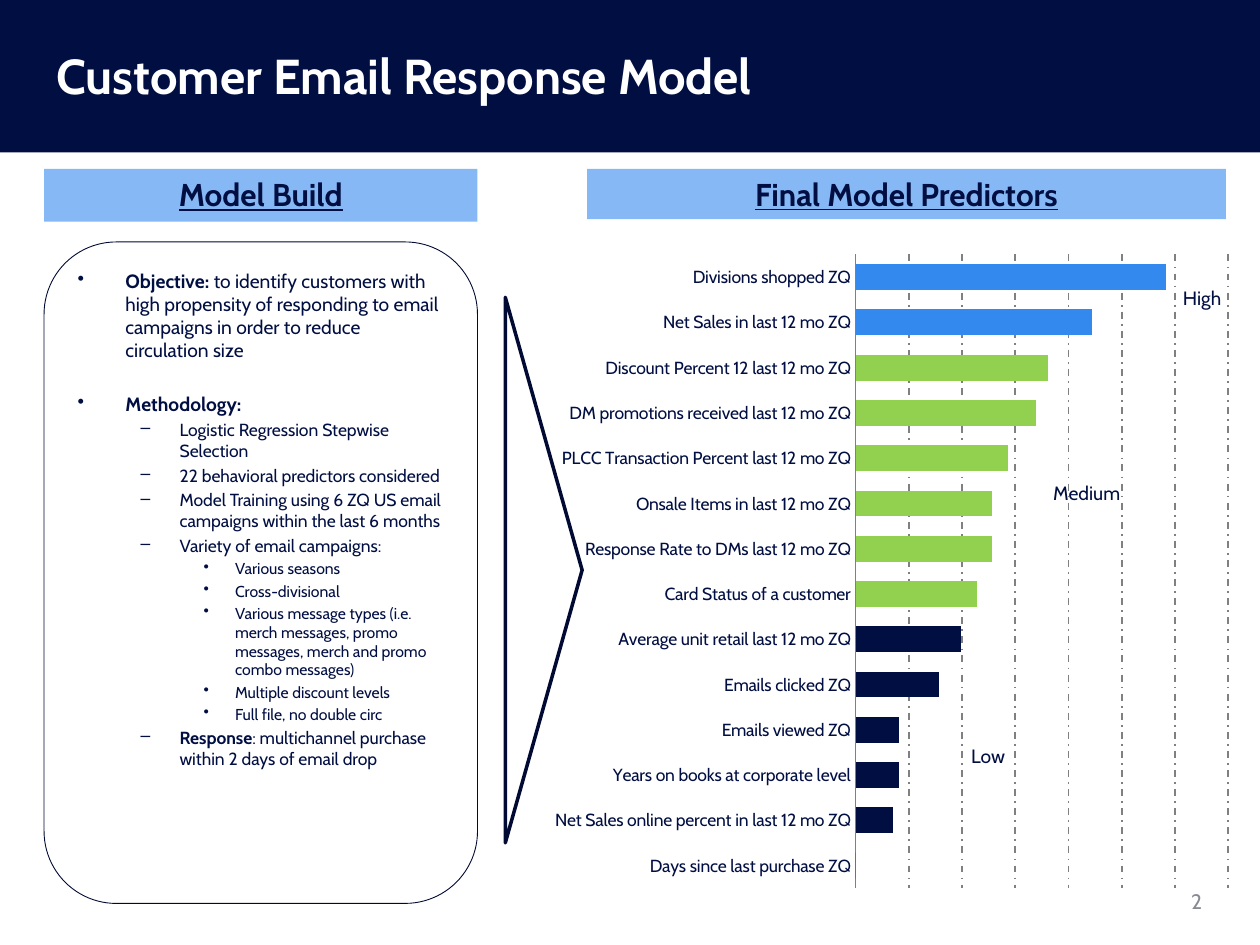
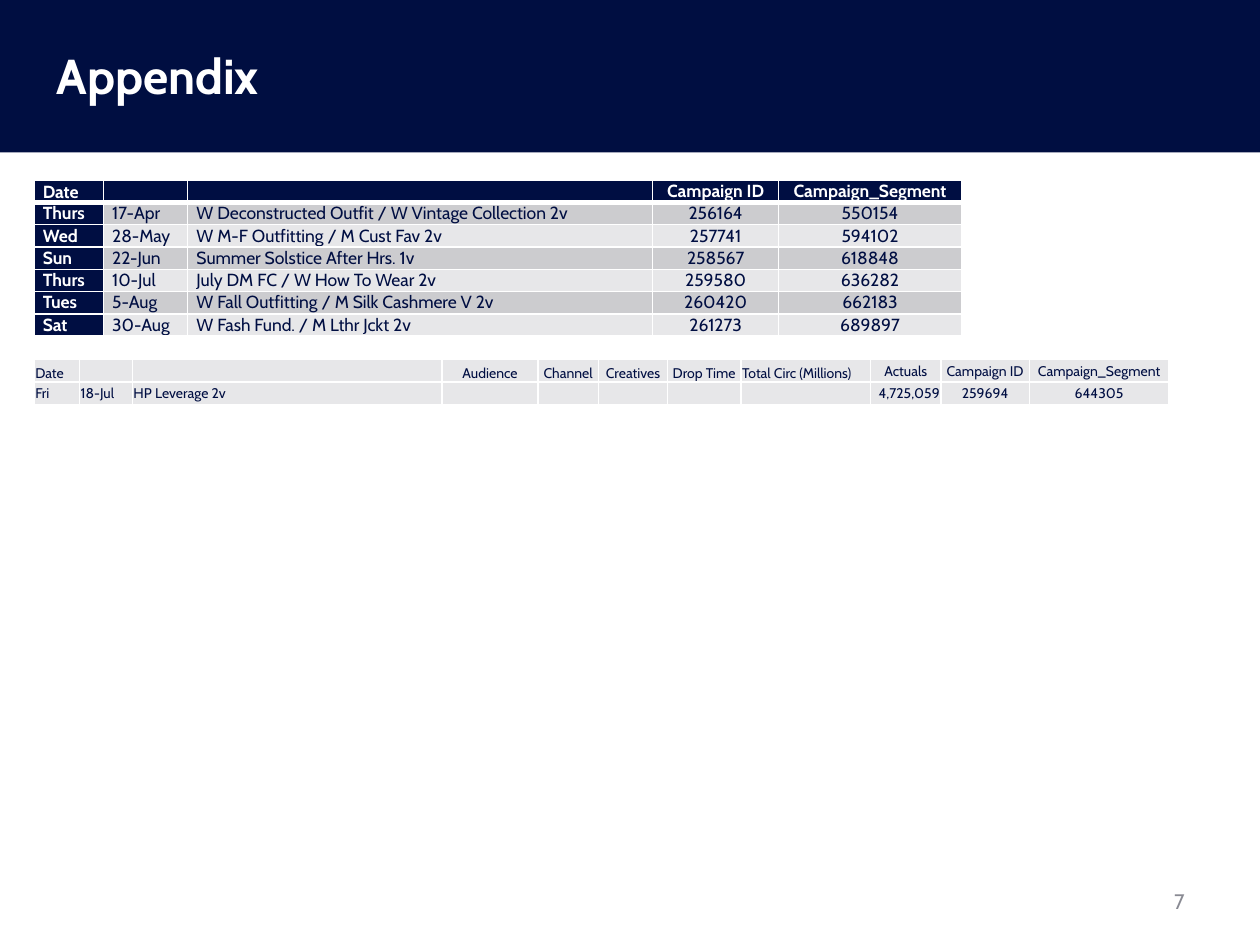
from dataclasses import dataclass
from typing import NamedTuple

import pptx
import pptx.chart.data
import pptx.dml.color
import pptx.enum.chart
import pptx.enum.dml
import pptx.enum.shapes
import pptx.enum.text
import pptx.oxml
import pptx.oxml.ns
import pptx.util
from lxml import etree

Inches = pptx.util.Inches
Pt = pptx.util.Pt
qn = pptx.oxml.ns.qn
Shape = pptx.enum.shapes.MSO_SHAPE
Align = pptx.enum.text.PP_ALIGN
Anchor = pptx.enum.text.MSO_ANCHOR


@dataclass(frozen=True)
class Theme:
    font: str = "Cabin"
    band: str = "000E41"
    ink: str = "000E42"
    outline: str = "000A32"
    heading: str = "85B8F4"
    high: str = "3389ED"
    medium: str = "92D050"
    grid: str = "808080"
    number: str = "898A93"
    white: str = "FFFFFF"
    row_dark: str = "CCCCCF"
    row_light: str = "E7E7E9"
    title_size: float = 28
    heading_size: float = 18
    number_size: float = 12
    body_size: float = 11
    small_size: float = 10
    detail_size: float = 9
    fine_size: float = 8


THEME = Theme()


class Box(NamedTuple):
    left: float
    top: float
    width: float
    height: float

    def lengths(self) -> list:
        return [Inches(value) for value in self]


class Level(NamedTuple):
    margin: float
    indent: float
    mark: str
    size: float


class Bullet(NamedTuple):
    level: int
    lead: str
    text: str
    gap: float = 0


class Predictor(NamedTuple):
    name: str
    score: int


class Note(NamedTuple):
    text: str
    box: Box


class Cell(NamedTuple):
    text: str
    fill: str = THEME.row_light
    color: str = THEME.ink
    bold: bool = False
    align: Align = Align.LEFT
    anchor: Anchor = Anchor.MIDDLE
    bottom_line: float = 1


LEVELS = [
    Level(0.38, -0.38, "•", THEME.body_size),
    Level(0.81, -0.31, "–", THEME.small_size),
    Level(1.25, -0.25, "•", THEME.detail_size),
]

MODEL_BUILD = [
    Bullet(0, "Objective: ", "to identify customers with high propensity of responding to email "
           "campaigns in order to reduce circulation size"),
    Bullet(0, "Methodology:", "", gap=15.4),
    Bullet(1, "", "Logistic Regression Stepwise Selection"),
    Bullet(1, "", "22 behavioral predictors considered"),
    Bullet(1, "", "Model Training using 6 ZQ US email campaigns within the last 6 months"),
    Bullet(1, "", "Variety of email campaigns:"),
    Bullet(2, "", "Various seasons"),
    Bullet(2, "", "Cross-divisional"),
    Bullet(2, "", "Various message types (i.e. merch messages, promo messages, "
           "merch and promo combo messages)"),
    Bullet(2, "", "Multiple discount levels"),
    Bullet(2, "", "Full file, no double circ"),
    Bullet(1, "Response", ": multichannel purchase within 2 days of email drop"),
]

PREDICTORS = [
    Predictor("Days since last purchase ZQ", 0),
    Predictor("Net Sales online percent in last 12 mo ZQ", 12),
    Predictor("Years on books at corporate level", 14),
    Predictor("Emails viewed ZQ", 14),
    Predictor("Emails clicked ZQ", 27),
    Predictor("Average unit retail last 12 mo ZQ", 34),
    Predictor("Card Status of a customer", 39),
    Predictor("Response Rate to DMs last 12 mo ZQ", 44),
    Predictor("Onsale Items in last 12 mo ZQ", 44),
    Predictor("PLCC Transaction Percent last 12 mo ZQ", 49),
    Predictor("DM promotions received last 12 mo ZQ", 58),
    Predictor("Discount Percent 12 last 12 mo ZQ", 62),
    Predictor("Net Sales in last 12 mo ZQ", 76),
    Predictor("Divisions shopped ZQ", 100),
]

IMPACT_NOTES = [
    Note("High", Box(9.29, 2.22, 0.56, 0.29)),
    Note("Medium", Box(8.26, 3.77, 0.83, 0.29)),
    Note("Low", Box(7.61, 5.86, 0.83, 0.29)),
]

CAMPAIGN_HEADER = ["Date", "", "", "Campaign ID", "Campaign_Segment"]
CAMPAIGNS = [
    ["Thurs", "17-Apr", "W Deconstructed Outfit / W Vintage Collection 2v", "256164", "550154"],
    ["Wed", "28-May", "W M-F Outfitting / M Cust Fav 2v", "257741", "594102"],
    ["Sun", "22-Jun", "Summer Solstice After Hrs. 1v", "258567", "618848"],
    ["Thurs", "10-Jul", "July DM FC / W How To Wear 2v", "259580", "636282"],
    ["Tues", "5-Aug", "W Fall Outfitting / M Silk Cashmere V 2v", "260420", "662183"],
    ["Sat", "30-Aug", "W Fash Fund. / M Lthr Jckt 2v", "261273", "689897"],
]
CAMPAIGN_WIDTHS = [0.55, 0.67, 3.69, 1, 1.45]

DROP_HEADER = ["Date", "", "", "Audience", "Channel", "Creatives", "Drop Time",
               "Total Circ (Millions)", "Actuals", "Campaign ID", "Campaign_Segment"]
DROP = ["Fri", "18-Jul", "HP Leverage 2v", "", "", "", "", "", "4,725,059", "259694", "644305"]
DROP_WIDTHS = [0.36, 0.42, 2.46, 0.76, 0.48, 0.55, 0.58, 1.03, 0.56, 0.7, 1.11]


def rgb(color: str) -> pptx.dml.color.RGBColor:
    return pptx.dml.color.RGBColor.from_string(color)


def write(para, text: str, *, size: float = THEME.body_size, color: str = THEME.ink,
          bold: bool = False, underline: bool = False, align: Align = Align.LEFT) -> None:
    """Append one formatted span to a paragraph."""
    para.alignment = align
    span = para.add_run()
    span.text = text
    span.font.name = THEME.font
    span.font.size = Pt(size)
    span.font.bold = bold
    span.font.underline = underline
    span.font.color.rgb = rgb(color)


def add_text(slide, box: Box, text: str, *, anchor: Anchor = Anchor.TOP, **style) -> None:
    frame = slide.shapes.add_textbox(*box.lengths()).text_frame
    frame.word_wrap = True
    frame.vertical_anchor = anchor
    write(frame.paragraphs[0], text, **style)


def add_block(slide, kind: Shape, box: Box, *, fill: str = "", line: str = "",
              line_width: float = 0.5):
    shape = slide.shapes.add_shape(kind, *box.lengths())
    shape.shadow.inherit = False
    if fill:
        shape.fill.solid()
        shape.fill.fore_color.rgb = rgb(fill)
    else:
        shape.fill.background()
    if line:
        shape.line.color.rgb = rgb(line)
        shape.line.width = Pt(line_width)
    else:
        shape.line.fill.background()
    shape.text_frame.word_wrap = True
    shape.text_frame.vertical_anchor = Anchor.TOP
    return shape


def add_frame(slide, title: str, number: str, number_left: float) -> None:
    """Draw the title band and the slide number."""
    add_block(slide, Shape.RECTANGLE, Box(0, -0.03, 10, 1.24), fill=THEME.band)
    add_text(slide, Box(0.35, 0.31, 9.5, 0.57), title,
             size=THEME.title_size, color=THEME.white, bold=True)
    add_text(slide, Box(number_left, 6.95, 2.33, 0.4), number, anchor=Anchor.MIDDLE,
             size=THEME.number_size, color=THEME.number, align=Align.RIGHT)


def add_heading(slide, box: Box, text: str) -> None:
    heading = add_block(slide, Shape.RECTANGLE, box, fill=THEME.heading)
    write(heading.text_frame.paragraphs[0], text, size=THEME.heading_size,
          bold=True, underline=True, align=Align.CENTER)


def add_bullets(frame, bullets: list[Bullet]) -> None:
    for index, bullet in enumerate(bullets):
        para = frame.add_paragraph() if index else frame.paragraphs[0]
        level = LEVELS[bullet.level]
        para.level = bullet.level
        para.space_before = Pt(0.2 * level.size + bullet.gap)
        for text, bold in ((bullet.lead, True), (bullet.text, False)):
            if text:
                write(para, text, size=level.size, bold=bold)
        props = para._p.get_or_add_pPr()
        props.set("marL", str(Inches(level.margin)))
        props.set("indent", str(Inches(level.indent)))
        etree.SubElement(props, qn("a:buChar"), char=level.mark)


def tier_color(score: int) -> str:
    if score > 70:
        return THEME.high
    return THEME.medium if score > 35 else THEME.ink


def place_plot(chart, outer: Box, inner: Box) -> None:
    """Fix the plotting rectangle, given in slide inches, inside the chart."""
    area = chart._chartSpace.chart.plotArea
    for old in area.findall(qn("c:layout")):
        area.remove(old)
    layout = etree.Element(qn("c:layout"))
    manual = etree.SubElement(layout, qn("c:manualLayout"))
    for tag, value in (("layoutTarget", "inner"), ("xMode", "edge"), ("yMode", "edge"),
                       ("x", (inner.left - outer.left) / outer.width),
                       ("y", (inner.top - outer.top) / outer.height),
                       ("w", inner.width / outer.width),
                       ("h", inner.height / outer.height)):
        etree.SubElement(manual, qn(f"c:{tag}"), val=str(value))
    area.insert(0, layout)


def add_predictor_chart(slide, box: Box) -> None:
    data = pptx.chart.data.CategoryChartData()
    data.categories = [predictor.name for predictor in PREDICTORS]
    data.add_series("Series 1", [predictor.score for predictor in PREDICTORS])
    kind = pptx.enum.chart.XL_CHART_TYPE.BAR_CLUSTERED
    chart = slide.shapes.add_chart(kind, *box.lengths(), data).chart
    chart.has_title = chart.has_legend = False
    chart.font.name = THEME.font
    chart.font.size = Pt(THEME.small_size)
    chart.font.color.rgb = rgb(THEME.ink)

    plot = chart.plots[0]
    plot.gap_width, plot.overlap, plot.vary_by_categories = 75, -25, False
    series = plot.series[0]
    series.invert_if_negative = False
    series.format.fill.solid()
    series.format.fill.fore_color.rgb = rgb(THEME.ink)
    for index, predictor in enumerate(PREDICTORS):
        color = tier_color(predictor.score)
        if color != THEME.ink:
            fill = series.points[index].format.fill
            fill.solid()
            fill.fore_color.rgb = rgb(color)

    names, scores = chart.category_axis, chart.value_axis
    names.major_tick_mark = pptx.enum.chart.XL_TICK_MARK.NONE
    names.format.line.color.rgb = rgb(THEME.grid)
    scores.minimum_scale, scores.maximum_scale = 0, 120
    scores.major_unit = 120 / 7
    scores.tick_labels.number_format = "0.00%"
    scores.tick_labels.number_format_is_linked = False
    grid = scores.major_gridlines.format.line
    grid.color.rgb = rgb(THEME.grid)
    grid.width = Pt(1)
    grid.dash_style = pptx.enum.dml.MSO_LINE.DASH_DOT
    scores.visible = False
    place_plot(chart, box, Box(6.79, 2.02, 2.96, 5.03))


def style_cell(target, cell: Cell, size: float, side: float, top: float) -> None:
    target.margin_left = target.margin_right = Inches(side)
    target.margin_top, target.margin_bottom = Inches(top), 0
    target.vertical_anchor = cell.anchor
    target.fill.solid()
    target.fill.fore_color.rgb = rgb(cell.fill)
    para = target.text_frame.paragraphs[0]
    if cell.text:
        write(para, cell.text, size=size, color=cell.color, bold=cell.bold, align=cell.align)
    else:
        etree.SubElement(para._p, qn("a:endParaRPr"), sz=str(int(size * 100)))
    props = target._tc.get_or_add_tcPr()
    for index, edge in enumerate("LRTB"):
        width = cell.bottom_line if edge == "B" else 1
        line = etree.Element(qn(f"a:ln{edge}"), w=str(Pt(width)))
        fill = etree.SubElement(line, qn("a:solidFill"))
        etree.SubElement(fill, qn("a:srgbClr"), val=THEME.white)
        props.insert(index, line)


def add_grid(slide, box: Box, widths: list[float], rows: list[list[Cell]], *,
             size: float, side: float, top: float) -> None:
    table = slide.shapes.add_table(len(rows), len(widths), *box.lengths()).table
    table.first_row = table.horz_banding = False
    for column, width in zip(table.columns, widths):
        column.width = Inches(width)
    for row, cells in zip(table.rows, rows):
        row.height = Inches(box.height / len(rows))
        for target, cell in zip(row.cells, cells):
            style_cell(target, cell, size, side, top)


def campaign_cell(row: int, column: int, text: str) -> Cell:
    align = Align.CENTER if column > 2 else Align.LEFT
    if row == 0 or column == 0:
        anchor = Anchor.BOTTOM if row == column else Anchor.MIDDLE
        return Cell(text, THEME.ink, THEME.white, True, align, anchor, 1 if row else 3)
    return Cell(text, THEME.row_dark if row % 2 else THEME.row_light, align=align)


def drop_cell(row: int, column: int, text: str) -> Cell:
    align = Align.LEFT if column < 3 or column == 7 else Align.CENTER
    if row == 1 and column == 8:
        align = Align.RIGHT
    anchor = Anchor.BOTTOM if row == 0 and column < 8 else Anchor.MIDDLE
    return Cell(text, align=align, anchor=anchor)


def cells_from(rows: list[list[str]], make_cell) -> list[list[Cell]]:
    return [[make_cell(r, c, text) for c, text in enumerate(row)] for r, row in enumerate(rows)]


def build_model_slide(slide) -> None:
    add_predictor_chart(slide, Box(4.31, 1.92, 5.54, 5.25))
    add_frame(slide, "Customer Email Response Model", "2", 7.31)
    panel = add_block(slide, Shape.ROUNDED_RECTANGLE, Box(0.35, 1.92, 3.44, 5.25),
                      line=THEME.outline)
    add_bullets(panel.text_frame, MODEL_BUILD)
    add_heading(slide, Box(4.66, 1.34, 5.07, 0.4), "Final Model Predictors")
    add_heading(slide, Box(0.35, 1.34, 3.44, 0.42), "Model Build")
    pointer = add_block(slide, Shape.ISOSCELES_TRIANGLE, Box(2.15, 4.22, 4.33, 0.61),
                        line=THEME.outline, line_width=2)
    pointer.rotation = 90
    for note in IMPACT_NOTES:
        add_text(slide, note.box, note.text)


def build_appendix_slide(slide) -> None:
    add_frame(slide, "Appendix", "7", 7.17)
    add_grid(slide, Box(0.27, 1.43, 7.36, 1.24), CAMPAIGN_WIDTHS,
             cells_from([CAMPAIGN_HEADER, *CAMPAIGNS], campaign_cell),
             size=THEME.small_size, side=0.07, top=0)
    add_grid(slide, Box(0.27, 2.85, 9, 0.36), DROP_WIDTHS,
             cells_from([DROP_HEADER, DROP], drop_cell),
             size=THEME.fine_size, side=0.01, top=0.01)


def main() -> None:
    deck = pptx.Presentation()
    deck.slide_width, deck.slide_height = Inches(10), Inches(7.5)
    for build in (build_model_slide, build_appendix_slide):
        build(deck.slides.add_slide(deck.slide_layouts[6]))
    deck.save("out.pptx")


if __name__ == "__main__":
    main()
